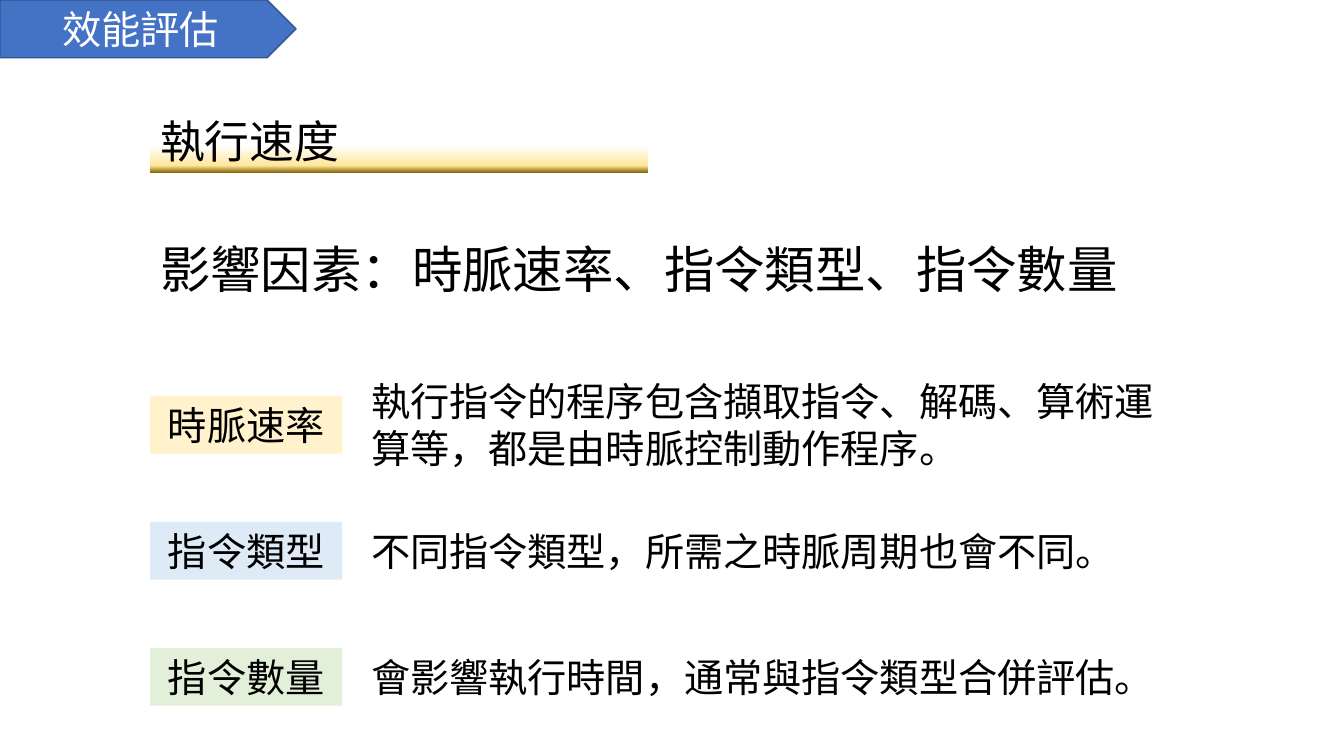
import copy

import pptx
import pptx.dml.color
import pptx.enum.shapes
import pptx.enum.text
import pptx.oxml
import pptx.oxml.ns
import pptx.util

RGBColor = pptx.dml.color.RGBColor
SHAPE = pptx.enum.shapes.MSO_SHAPE
ALIGN = pptx.enum.text.PP_ALIGN
ANCHOR = pptx.enum.text.MSO_ANCHOR
AUTO_SIZE = pptx.enum.text.MSO_AUTO_SIZE
qn = pptx.oxml.ns.qn

PX = 9525  # EMU per px, 96 px to the inch
SLIDE_W, SLIDE_H = 1280, 720

BLACK = RGBColor(0x00, 0x00, 0x00)
WHITE = RGBColor(0xFF, 0xFF, 0xFF)
BLUE = RGBColor(0x44, 0x72, 0xC4)
DARK_BLUE = RGBColor(0x32, 0x54, 0x91)
CREAM = RGBColor(0xFF, 0xF2, 0xCC)
PALE_BLUE = RGBColor(0xDE, 0xEB, 0xF7)
PALE_GREEN = RGBColor(0xE2, 0xF0, 0xD9)
BROWN = RGBColor(0x80, 0x60, 0x00)
GOLD = RGBColor(0xFF, 0xE6, 0x99)

LATIN = "Cambria"
CJK = "Noto Sans CJK SC"

LEFT = 143
LABEL_W = 183
TEXT_LEFT, TEXT_W = 344, 766
LINE_H, PADDING = 45, 10
FIRST_ROW, ROW_STEP = 377, 120
HEADING_STOPS = [(0, BROWN), (0.12, GOLD), (0.43, WHITE)]

# label, label colour, explanation, lines of explanation
FACTORS = [
    ("時脈速率", CREAM, "執行指令的程序包含擷取指令、解碼、算術運算等，都是由時脈控制動作程序。", 2),
    ("指令類型", PALE_BLUE, "不同指令類型，所需之時脈周期也會不同。", 1),
    ("指令數量", PALE_GREEN, "會影響執行時間，通常與指令類型合併評估。", 1),
]


def set_all(obj, values):
    for name, value in values.items():
        setattr(obj, name, value)


def write(s, text, size=28, color=BLACK, font=CJK, align=ALIGN.LEFT, **frame):
    tf = s.text_frame
    set_all(tf, {"word_wrap": True, "auto_size": AUTO_SIZE.SHAPE_TO_FIT_TEXT,
                 "vertical_anchor": ANCHOR.TOP, **frame})
    p = tf.paragraphs[0]
    p.alignment = align
    r = p.add_run()
    r.text = text
    set_all(r.font, {"size": pptx.util.Pt(size), "name": font})
    r.font.color.rgb = color
    ea = pptx.oxml.parse_xml(f'<a:ea {pptx.oxml.ns.nsdecls("a")} typeface="{CJK}"/>')
    r.font._element.find(qn("a:latin")).addnext(ea)


def add_box(slide, x, y, w, h, fill, kind=SHAPE.RECTANGLE):
    s = slide.shapes.add_shape(kind, x * PX, y * PX, w * PX, h * PX)
    s.shadow.inherit = False
    s.fill.solid()
    s.fill.fore_color.rgb = fill
    s.line.fill.background()
    return s


def fade_upwards(s, stops):
    s.fill.gradient()
    s.fill.gradient_angle = 90
    stop_list = s._element.spPr.find(".//" + qn("a:gsLst"))
    while len(stop_list) < len(stops):
        stop_list.append(copy.deepcopy(stop_list[0]))
    for stop, (position, color) in zip(s.fill.gradient_stops, stops):
        stop.position = position
        stop.color.rgb = color


def add_section_tag(slide, text):
    s = add_box(slide, 0, 0, 282, 55, BLUE, SHAPE.PENTAGON)
    s.line.color.rgb = DARK_BLUE
    s.line.width = pptx.util.Pt(1)
    write(s, text, color=WHITE, font=LATIN, align=ALIGN.CENTER,
          vertical_anchor=ANCHOR.MIDDLE, auto_size=AUTO_SIZE.NONE)


def add_heading(slide, text):
    s = add_box(slide, LEFT, 104, 474, 61, WHITE)
    fade_upwards(s, HEADING_STOPS)
    write(s, text, size=32, font=LATIN)


def add_summary(slide, text):
    s = slide.shapes.add_textbox(LEFT * PX, 222 * PX, 940 * PX, 68 * PX)
    write(s, text, size=36, word_wrap=False)


def add_factor(slide, y, label, color, text, lines):
    """Add a coloured label and its explanation, centred on the same line."""
    label_h = LINE_H + PADDING
    text_h = LINE_H * lines + PADDING
    s = add_box(slide, LEFT, y, LABEL_W, label_h, color)
    write(s, label, align=ALIGN.CENTER)
    s = add_box(slide, TEXT_LEFT, y - (text_h - label_h) // 2, TEXT_W, text_h, WHITE)
    write(s, text)


def main():
    prs = pptx.Presentation()
    set_all(prs, {"slide_width": SLIDE_W * PX, "slide_height": SLIDE_H * PX})
    slide = prs.slides.add_slide(prs.slide_layouts[6])
    add_heading(slide, "執行速度")
    add_summary(slide, "影響因素：時脈速率、指令類型、指令數量")
    add_section_tag(slide, "效能評估")
    for i, factor in enumerate(FACTORS):
        add_factor(slide, FIRST_ROW + i * ROW_STEP, *factor)
    prs.save("out.pptx")


if __name__ == "__main__":
    main()
